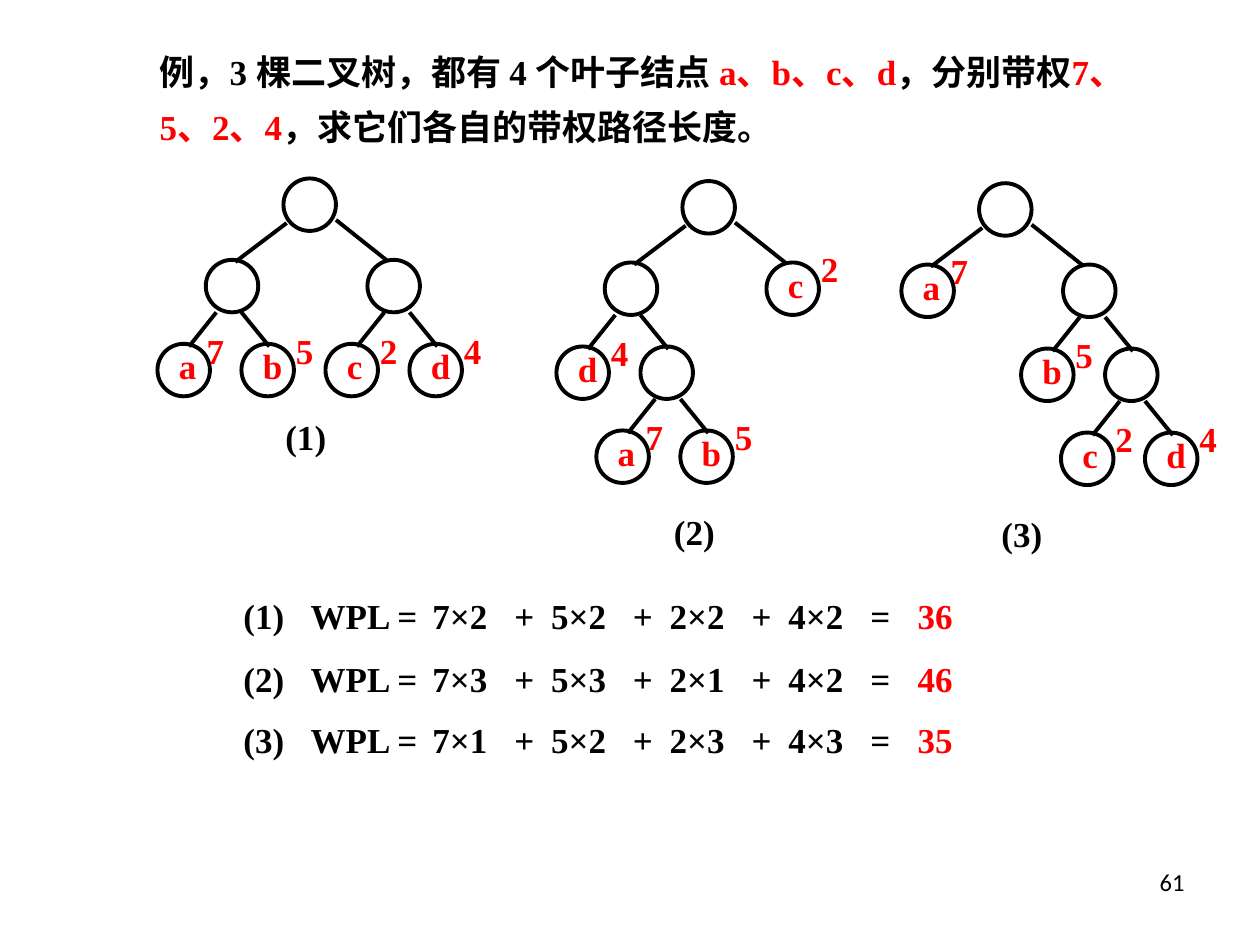
import pptx
import pptx.util
import pptx.dml.color
import pptx.enum.shapes
import pptx.enum.text
import lxml.etree

deck = pptx.Presentation()
deck.slide_width = pptx.util.Inches(10)
deck.slide_height = pptx.util.Inches(7.5)
cell = deck.slide_width / 120
slide = deck.slides.add_slide(deck.slide_layouts[5])
black, red = "000000", "FF0000"
serif = "Times New Roman"
kinds = pptx.enum.shapes


def grid(*cells):
    return [pptx.util.Emu(round(n * cell)) for n in cells]


def write(box, parts, face=serif, size=20, bold=True):
    frame = box.text_frame
    frame.word_wrap = True
    frame.vertical_anchor = pptx.enum.text.MSO_ANCHOR.TOP
    frame.auto_size = pptx.enum.text.MSO_AUTO_SIZE.NONE
    line = frame.paragraphs[0]
    for text, tint in parts:
        run = line.add_run()
        run.text = text
        run.font.name = face
        run.font.size = pptx.util.Pt(size)
        run.font.bold = bold
        run.font.color.rgb = pptx.dml.color.RGBColor.from_string(tint)
    return line


title = slide.shapes.title
title.left, title.top, title.width, title.height = grid(14, 3, 99, 11.6)
line = write(title, [
    ("例，3 棵二叉树，都有 4 个叶子结点 ", black), ("a、b、c、d", red),
    ("，分别带权", black), ("7、5、2、4", red),
    ("，求它们各自的带权路径长度。", black)])
line.alignment = pptx.enum.text.PP_ALIGN.LEFT
line.line_spacing = 1.3

page = slide.shapes.add_textbox(*grid(86, 82, 28, 6.2))
line = write(page, [("61", black)], "Calibri", 14, False)
line.alignment = pptx.enum.text.PP_ALIGN.RIGHT

rows = [0, 7.75, 15.75, 23.75]
edges = {
    "top L": (7.7, -3.5, 2.8, 0.2), "top R": (-3, -3.8, 1.9, 0.1),
    "low L": (5.6, -3, 3, 0.25), "low R": (0, -3, 2.65, 0.25)}
loads = {"a": "7", "b": "5", "c": "2", "d": "4"}
trees = [
    (27, 17, [(0, 0, "", ""), (-7.4, 1, "L", ""), (8, 1, "R", ""),
              (-12, 2, "L", "a"), (-4, 2, "R", "b"),
              (4, 2, "L", "c"), (12, 2, "R", "d")],
     "(1)", (26, 39, 12, 5.3)),
    (65, 17.25, [(0, 0, "", ""), (-7.4, 1, "L", ""), (8, 1, "R", "c"),
                 (-12, 2, "L", "d"), (-4, 2, "R", ""),
                 (-8.2, 3, "L", "a"), (-0.2, 3, "R", "b")],
     "(2)", (63, 48, 13, 5.3)),
    (93.25, 17.45, [(0, 0, "", ""), (-7.4, 1, "L", "a"), (8, 1, "R", ""),
                    (4, 2, "L", "b"), (12, 2, "R", ""),
                    (7.8, 3, "L", "c"), (15.8, 3, "R", "d")],
     "(3)", (94.2, 48.2, 13, 5.3))]

for left, top, nodes, name, spot in trees:
    tree = slide.shapes.add_group_shape().shapes
    for shift, depth, side, leaf in nodes:
        x, y = left + shift, top + rows[depth]
        node = tree.add_shape(kinds.MSO_SHAPE.OVAL, *grid(x, y, 5, 5))
        node.shadow.inherit = False
        node.fill.background()
        strokes = [node]
        if side:
            x1, y1, x2, y2 = edges[("top " if depth == 1 else "low ") + side]
            edge = tree.add_connector(
                kinds.MSO_CONNECTOR.STRAIGHT,
                *grid(x + x1, y + y1, x + x2, y + y2))
            lxml.etree.SubElement(
                edge._element.spPr, pptx.oxml.ns.qn("a:effectLst"))
            strokes.append(edge)
        for item in strokes:
            item.line.color.rgb = pptx.dml.color.RGBColor.from_string(black)
            item.line.width = pptx.util.Pt(2.25)
        if leaf:
            write(tree.add_textbox(*grid(x + 0.85, y - 0.5, 7, 5.3)),
                  [(leaf, red)])
            gap = 3.5 if leaf == "a" else 4
            write(tree.add_textbox(*grid(x + gap, y - 2, 6, 5.3)),
                  [(loads[leaf], red)])
    write(tree.add_textbox(*grid(*spot)), [(name, black)])

pitch = 11.3
stops = [n * pitch + at for n in range(4) for at in (7.8, pitch)]
stops[-1] = 46.2
sums = [
    (56, "(1)", "7×2 5×2 2×2 4×2", "36"),
    (62, "(2)", "7×3 5×3 2×1 4×2", "46"),
    (67.8, "(3)", "7×1 5×2 2×3 4×3", "35")]
for top, name, terms, total in sums:
    head = write(slide.shapes.add_textbox(*grid(22, top, 27, 5.3)),
                 [(name + "\tWPL =", black)])
    body = write(slide.shapes.add_textbox(*grid(40, top, 62, 5.3)),
                 [("\t+\t".join(terms.split()) + "\t=\t", black), (total, red)])
    for line, marks in ((head, [6.4]), (body, stops)):
        tabs = lxml.etree.SubElement(
            line._p.get_or_add_pPr(), pptx.oxml.ns.qn("a:tabLst"))
        for mark in grid(*marks):
            lxml.etree.SubElement(
                tabs, pptx.oxml.ns.qn("a:tab"), pos=str(int(mark)), algn="l")

deck.save("out.pptx")
